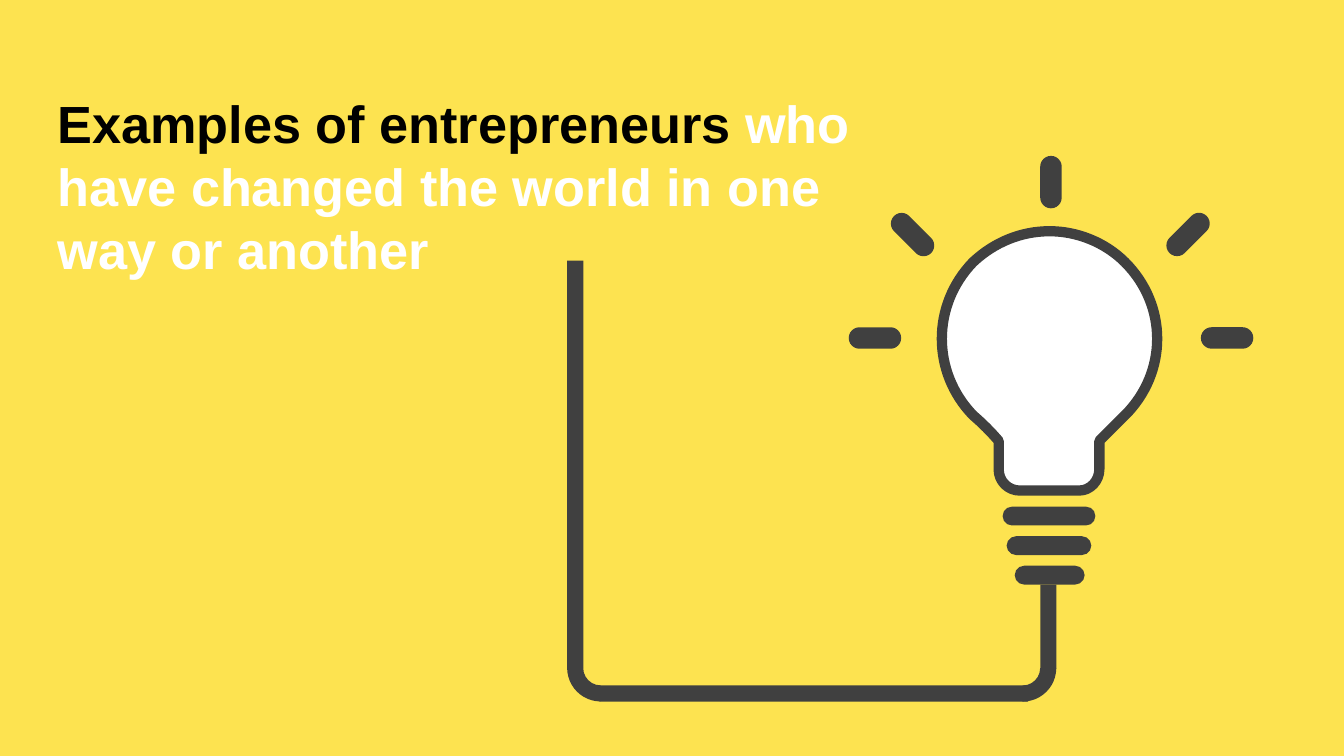
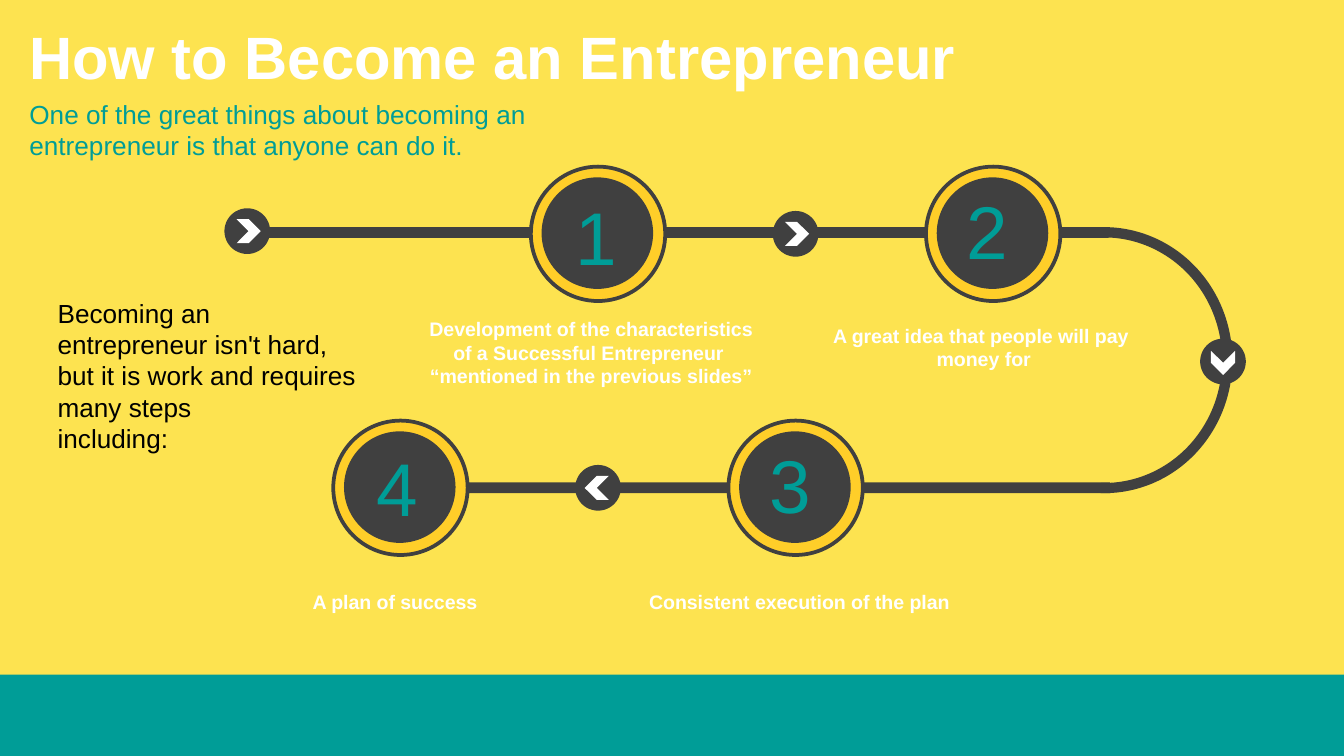
from dataclasses import dataclass
from math import cos, radians, sin

from lxml import etree
from pptx import Presentation, util as u
from pptx.dml.color import RGBColor
from pptx.enum import shapes, text
from pptx.oxml import ns

PX = 9144  # EMU per px: 100 px to the inch
YELLOW, AMBER, TEAL = "FDE350", "FFCE29", "009D97"
CHARCOAL, WHITE, BLACK = "404040", "FFFFFF", "000000"
FONT = "Arial"
KIND = shapes.MSO_SHAPE


@dataclass(frozen=True)
class Box:
    left: int
    top: int
    width: int
    height: int

    def emu(self) -> list[int]:
        return [v * PX for v in (self.left, self.top, self.width, self.height)]


@dataclass(frozen=True)
class Words:
    content: str
    size: float
    color: str
    bold: bool = False


@dataclass(frozen=True)
class Arrow:
    center_x: int
    center_y: int
    rotation: int = 0


@dataclass(frozen=True)
class Stage:
    ring_left: int
    ring_top: int
    number: str
    number_left: int
    number_top: int
    caption_box: Box
    caption: tuple[str, ...]


# Shared drawing functions
def rgb(color: str) -> RGBColor:
    return RGBColor.from_string(color)


def paint(shape, fill: str, line: str | None = None, weight: float = 0) -> None:
    shape.shadow.inherit = False
    shape.fill.solid()
    shape.fill.fore_color.rgb = rgb(fill)
    if line:
        shape.line.color.rgb = rgb(line)
        shape.line.width = u.Pt(weight)
    else:
        shape.line.fill.background()


def draw(slide, kind, box: Box, fill: str = CHARCOAL, rotation: int = 0,
         adjust: tuple[float, ...] = (), line: str | None = None, weight: float = 0) -> None:
    shape = slide.shapes.add_shape(kind, *box.emu())
    shape.rotation = rotation
    for index, value in enumerate(adjust):
        shape.adjustments[index] = value
    paint(shape, fill, line, weight)


def write(slide, box: Box, paragraphs: list[list[Words]], centered: bool = False,
          wrap: bool = True, grow: bool = True) -> None:
    frame = slide.shapes.add_textbox(*box.emu()).text_frame
    frame.word_wrap = wrap
    frame.auto_size = (text.MSO_AUTO_SIZE.SHAPE_TO_FIT_TEXT if grow
                       else text.MSO_AUTO_SIZE.NONE)
    for index, words_list in enumerate(paragraphs):
        paragraph = frame.add_paragraph() if index else frame.paragraphs[0]
        if centered:
            paragraph.alignment = text.PP_ALIGN.CENTER
        for words in words_list:
            run = paragraph.add_run()
            run.text = words.content
            run.font.name = FONT
            run.font.size = u.Pt(words.size)
            run.font.bold = words.bold
            run.font.color.rgb = rgb(words.color)


def new_slide(prs):
    slide = prs.slides.add_slide(prs.slide_layouts[6])
    slide.background.fill.solid()
    slide.background.fill.fore_color.rgb = rgb(YELLOW)
    return slide


# Slide 1: light bulb
AXIS = 781
CABLE = [Box(422, 194, 12, 303), Box(446, 510, 319, 12), Box(774, 435, 12, 63)]
CABLE_BENDS = [(Box(422, 472, 50, 50), 0), (Box(736, 472, 50, 50), 270)]
SOCKET_WIDTHS = [69, 63, 52]
RAYS = [
    (Box(876, 155, 16, 39), 45),
    (Box(671, 155, 16, 39), 315),
    (Box(774, 116, 16, 39), 0),
    (Box(905, 232, 16, 39), 90),
    (Box(643, 232, 16, 39), 270),
]
BULB_FRAME = Box(693, 175, 175, 175)
BULB_TILT = 135
# Upright outline from the crown, clockwise: one point is a line, three are a curve
BULB_START = (781, 172)
BULB_OUTLINE = [
    [(801, 172), (822, 180), (837, 195)],
    [(869, 227), (869, 277), (837, 309)],
    [(818, 328)],
    [(818, 349)],
    [(818, 358), (811, 365), (803, 365)],
    [(781, 365)],
    [(780, 365)],
    [(759, 365)],
    [(750, 365), (743, 358), (743, 349)],
    [(743, 328)],
    [(737, 321), (731, 315), (724, 309)],
    [(693, 277), (693, 227), (724, 195)],
    [(740, 180), (760, 172), (781, 172)],
]


def add_step(outline, step: str, points: list[tuple[int, int]]) -> None:
    """Add a path step, turned back by the tilt so the rotated bulb stands upright."""
    element = etree.SubElement(outline, ns.qn(f"a:{step}"))
    turn = radians(-BULB_TILT)
    half = BULB_FRAME.width / 2
    for x, y in points:
        dx, dy = x - BULB_FRAME.left - half, y - BULB_FRAME.top - half
        point = etree.SubElement(element, ns.qn("a:pt"))
        point.set("x", str(round((half + dx * cos(turn) - dy * sin(turn)) * PX)))
        point.set("y", str(round((half + dx * sin(turn) + dy * cos(turn)) * PX)))


def draw_bulb(slide) -> None:
    left, top, width, height = BULB_FRAME.emu()
    builder = slide.shapes.build_freeform(left, top)
    builder.add_line_segments([(left + width, top), (left + width, top + height)])
    bulb = builder.convert_to_shape()
    outline = next(bulb.element.iter(ns.qn("a:path")))
    for step in list(outline):
        outline.remove(step)
    add_step(outline, "moveTo", [BULB_START])
    for points in BULB_OUTLINE:
        add_step(outline, "cubicBezTo" if len(points) == 3 else "lnTo", points)
    etree.SubElement(outline, ns.qn("a:close"))
    bulb.rotation = BULB_TILT
    paint(bulb, WHITE, CHARCOAL, 5.5)


def build_examples(prs) -> None:
    slide = new_slide(prs)
    for piece in CABLE:
        draw(slide, KIND.RECTANGLE, piece)
    for bend, rotation in CABLE_BENDS:
        draw(slide, KIND.BLOCK_ARC, bend, rotation=rotation, adjust=(54.32, 108.17, 0.24))
    draw_bulb(slide)
    for row, width in enumerate(SOCKET_WIDTHS):
        thread = Box(AXIS - (width + 1) // 2, 377 + 22 * row, width, 14)
        draw(slide, KIND.ROUNDED_RECTANGLE, thread, adjust=(0.5,))
    for ray, rotation in RAYS:
        draw(slide, KIND.ROUNDED_RECTANGLE, ray, rotation=rotation, adjust=(0.5,))
    write(slide, Box(33, 63, 629, 151), [[
        Words("Examples of entrepreneurs ", 28, BLACK, True),
        Words("who have changed the world in one way or another", 28, WHITE, True),
    ]])


# Slide 2: four stages along a track
STAGES = [
    Stage(395, 124, "1", 418, 137, Box(303, 231, 274, 63),
          ("Development of the characteristics of a Successful Entrepreneur ",
           "“mentioned in the previous slides”")),
    Stage(689, 124, "2", 709, 133, Box(595, 236, 274, 45),
          ("A great idea that people will pay ", "money for")),
    Stage(542, 313, "3", 563, 322, Box(458, 434, 274, 28),
          ("Consistent execution of the plan",)),
    Stage(248, 313, "4", 270, 324, Box(157, 434, 274, 28),
          ("A plan of success",)),
]
ARROWS = [Arrow(184, 172), Arrow(592, 174), Arrow(910, 269, 90), Arrow(445, 363, 180)]


def draw_arrow(slide, arrow: Arrow) -> None:
    x, y = arrow.center_x, arrow.center_y
    draw(slide, KIND.OVAL, Box(x - 17, y - 17, 34, 34))
    angle = radians(arrow.rotation)
    tip_x, tip_y = x + round(cos(angle)), y + round(sin(angle))
    draw(slide, KIND.CHEVRON, Box(tip_x - 9, tip_y - 9, 18, 18), WHITE, arrow.rotation)


def draw_stage(slide, stage: Stage) -> None:
    left, top = stage.ring_left, stage.ring_top
    draw(slide, KIND.OVAL, Box(left, top, 100, 100), AMBER, line=CHARCOAL, weight=2)
    draw(slide, KIND.OVAL, Box(left + 8, top + 8, 83, 83))
    write(slide, Box(stage.number_left, stage.number_top, 48, 77),
          [[Words(stage.number, 40, TEAL)]], wrap=False)
    write(slide, stage.caption_box,
          [[Words(line, 10.5, WHITE, True)] for line in stage.caption], centered=True)


def build_steps(prs) -> None:
    slide = new_slide(prs)
    # Track
    draw(slide, KIND.BLOCK_ARC, Box(726, 169, 191, 198), adjust=(161.27, 54.9, 0.04))
    draw(slide, KIND.RECTANGLE, Box(177, 169, 648, 8))
    draw(slide, KIND.RECTANGLE, Box(288, 359, 538, 8))
    # Title and introduction
    write(slide, Box(12, 10, 1000, 31),
          [[Words("How to Become an Entrepreneur", 32, WHITE, True)]], grow=False)
    write(slide, Box(12, 68, 391, 81), [[Words(
        "One of the great things about becoming an entrepreneur is that anyone can do it.",
        14, TEAL)]])
    write(slide, Box(33, 216, 242, 128), [
        [Words("Becoming an entrepreneur isn't hard, but it is work and requires many steps",
               14, BLACK)],
        [Words("including:", 14, BLACK)],
    ])
    # Stages and direction markers
    for stage in STAGES:
        draw_stage(slide, stage)
    for arrow in ARROWS:
        draw_arrow(slide, arrow)
    # Bottom band
    draw(slide, KIND.RECTANGLE, Box(0, 502, 1000, 61), TEAL)


def main() -> None:
    prs = Presentation()
    prs.slide_width = 1000 * PX
    prs.slide_height = 1125 * PX // 2
    build_examples(prs)
    build_steps(prs)
    prs.save("out.pptx")


if __name__ == "__main__":
    main()
